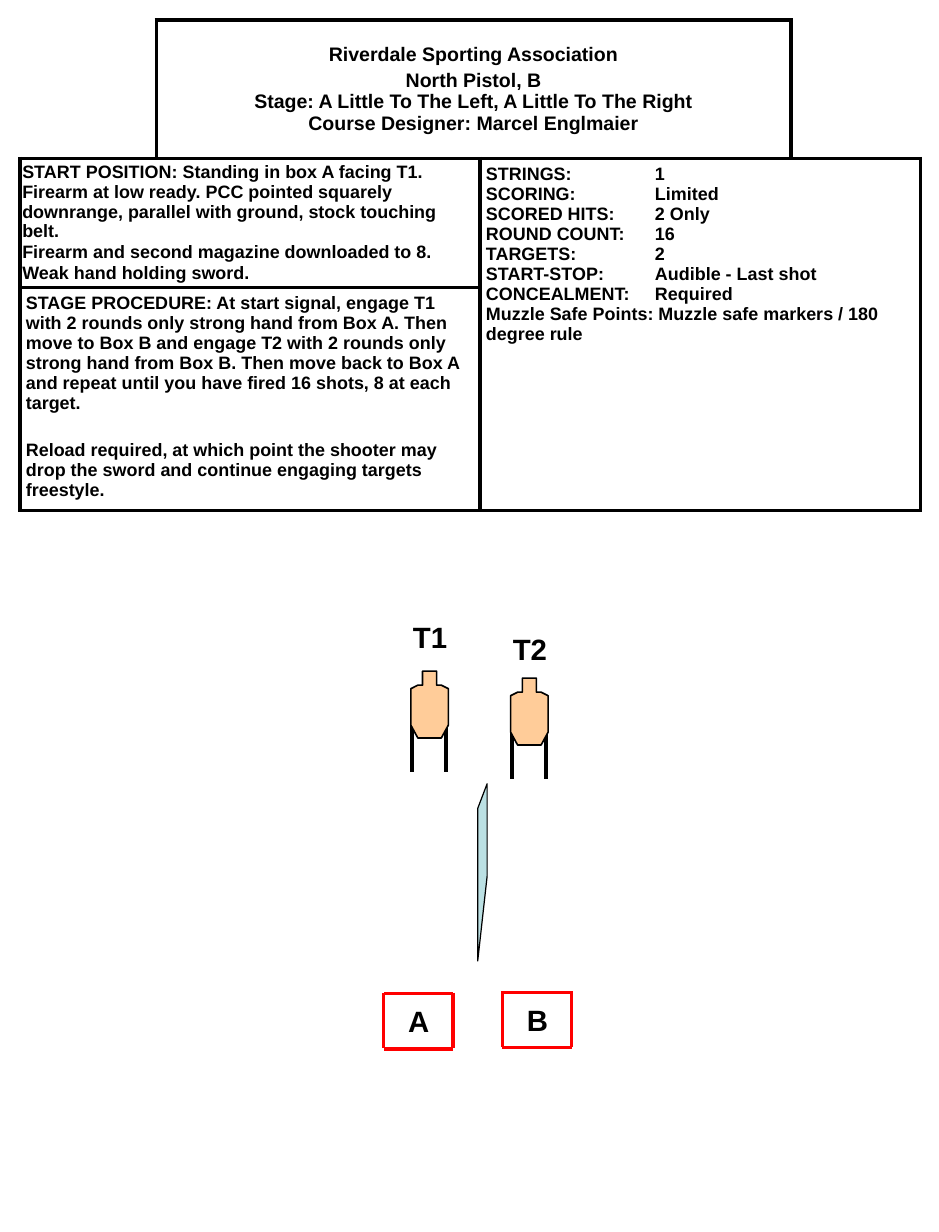
from dataclasses import dataclass

from lxml import etree
from pptx import Presentation
from pptx.dml.color import RGBColor
from pptx.enum.shapes import MSO_CONNECTOR
from pptx.enum.text import MSO_ANCHOR, PP_ALIGN
from pptx.oxml.ns import qn
from pptx.util import Inches, Pt

STRAIGHT = MSO_CONNECTOR.STRAIGHT
CENTER = PP_ALIGN.CENTER
LEFT = PP_ALIGN.LEFT
MIDDLE = MSO_ANCHOR.MIDDLE
TOP = MSO_ANCHOR.TOP

SLIDE_WIDTH, SLIDE_HEIGHT = Inches(8), Inches(10.5)
GRID_COLUMNS = 800
CELL = SLIDE_WIDTH // GRID_COLUMNS


@dataclass(frozen=True)
class Theme:
    font: str = "Arial"
    ink: str = "000000"
    paper: str = "FFFFFF"
    box: str = "FF0000"
    target: str = "FFCC99"
    barrier: str = "BBE0E3"
    heading: float = 12
    body: float = 11
    label: float = 18
    rule: float = 2.25
    box_rule: float = 2
    target_rule: float = 1
    barrier_rule: float = 0.75


THEME = Theme()

HEADING = [
    ("Riverdale Sporting Association", 0),
    ("North Pistol, B\nStage: A Little To The Left, A Little To The Right\n"
     "Course Designer: Marcel Englmaier", 2.4),
]
START_POSITION = [
    ("START POSITION: Standing in box A facing T1. Firearm at low ready. PCC pointed "
     "squarely downrange, parallel with ground, stock touching belt.", 0),
    ("Firearm and second magazine downloaded to 8.", 0.5),
    ("Weak hand holding sword.", 0.5),
]
PROCEDURE = [
    ("STAGE PROCEDURE: At start signal, engage T1 with 2 rounds only strong hand from "
     "Box A. Then move to Box B and engage T2 with 2 rounds only strong hand from Box B. "
     "Then move back to Box A and repeat until you have fired 16 shots, 8 at each target.", 0),
    ("Reload required, at which point the shooter may drop the sword and continue "
     "engaging targets freestyle.", 16.5),
]
RULES = [
    ("STRINGS:\t1", 0),
    ("SCORING:\tLimited", 0),
    ("SCORED HITS:\t2 Only", 0),
    ("ROUND COUNT:\t16", 0),
    ("TARGETS:\t2", 0),
    ("START-STOP:\tAudible - Last shot", 0),
    ("CONCEALMENT:\tRequired", 0),
    ("Muzzle Safe Points: Muzzle safe markers / 180 degree rule", 0),
]
RULE_VALUE_TAB = 144

TARGET_OUTLINE = [(10, 0), (22, 0), (22, 12), (26, 12), (32, 15), (32, 46),
                  (26, 57), (6, 57), (0, 46), (0, 15), (6, 12), (10, 12)]
BARRIER_OUTLINE = [(8, 79), (0, 151), (0, 21), (8, 0)]


def grid(count):
    return CELL * count


def style(paragraph, size):
    paragraph.font.name = THEME.font
    paragraph.font.size = Pt(size)
    paragraph.font.bold = True
    paragraph.font.color.rgb = RGBColor.from_string(THEME.ink)


def add_tab_stop(paragraph, position):
    tabs = etree.SubElement(paragraph._p.get_or_add_pPr(), qn("a:tabLst"))
    etree.SubElement(tabs, qn("a:tab"), pos=str(grid(position)), algn="l")


def write_cell(cell, entries, size, align=LEFT, anchor=TOP, inset=(5, 5)):
    cell.vertical_anchor = anchor
    cell.margin_left = cell.margin_right = grid(inset[0])
    cell.margin_top = cell.margin_bottom = grid(inset[1])
    frame = cell.text_frame
    for index, (wording, gap) in enumerate(entries):
        paragraph = frame.add_paragraph() if index else frame.paragraphs[0]
        paragraph.text = wording
        paragraph.alignment = align
        if gap:
            paragraph.space_before = Pt(gap)
        if "\t" in wording:
            add_tab_stop(paragraph, RULE_VALUE_TAB)
        style(paragraph, size)


def finish_cell(cell, sides):
    properties = cell._tc.get_or_add_tcPr()
    for side in sides:
        border = etree.SubElement(properties, qn("a:ln" + side), w=str(Pt(THEME.rule)))
        fill = etree.SubElement(border, qn("a:solidFill"))
        etree.SubElement(fill, qn("a:srgbClr"), val=THEME.ink)
    cell.fill.solid()
    cell.fill.fore_color.rgb = RGBColor.from_string(THEME.paper)


def add_briefing(shapes):
    widths, heights = (116, 276, 265, 110), (118, 110, 190)
    briefing = shapes.add_table(len(heights), len(widths), grid(17), grid(17),
                                grid(sum(widths)), grid(sum(heights))).table
    briefing.first_row = briefing.horz_banding = False
    for column, width in zip(briefing.columns, widths):
        column.width = grid(width)
    for row, height in zip(briefing.rows, heights):
        row.height = grid(height)

    open_corners = {(0, 0): "RB", (0, 3): "LB"}
    for row in range(len(heights)):
        for column in range(len(widths)):
            finish_cell(briefing.cell(row, column), open_corners.get((row, column), "LRTB"))
    for first, last in (((0, 1), (0, 2)), ((1, 0), (1, 1)), ((1, 2), (2, 3)), ((2, 0), (2, 1))):
        briefing.cell(*first).merge(briefing.cell(*last))

    write_cell(briefing.cell(0, 1), HEADING, THEME.heading, CENTER, MIDDLE)
    write_cell(briefing.cell(1, 0), START_POSITION, THEME.body, inset=(2, 3))
    write_cell(briefing.cell(1, 2), RULES, THEME.body)
    write_cell(briefing.cell(2, 0), PROCEDURE, THEME.body)


def add_label(shapes, wording, left, top, width):
    label = shapes.add_textbox(grid(left), grid(top), grid(width), grid(40))
    label.text_frame.word_wrap = True
    paragraph = label.text_frame.paragraphs[0]
    paragraph.text = wording
    style(paragraph, THEME.label)


def add_line(shapes, start, end, color, weight):
    line = shapes.add_connector(STRAIGHT, *map(grid, start + end))
    line.line.color.rgb = RGBColor.from_string(color)
    line.line.width = Pt(weight)
    etree.SubElement(line._element.spPr, qn("a:effectLst"))


def add_outline(shapes, left, top, points, color, weight):
    corners = [(grid(left + x), grid(top + y)) for x, y in points]
    builder = shapes.build_freeform(*corners[0])
    builder.add_line_segments(corners[1:], close=True)
    outline = builder.convert_to_shape()
    outline.shadow.inherit = False
    outline.fill.solid()
    outline.fill.fore_color.rgb = RGBColor.from_string(color)
    outline.line.color.rgb = RGBColor.from_string(THEME.ink)
    outline.line.width = Pt(weight)


def add_target(shapes, left, top):
    stand = shapes.add_group_shape().shapes
    for leg in (left + 1, left + 30):
        add_line(stand, (leg, top + 42), (leg, top + 86), THEME.ink, THEME.rule)
    add_outline(stand, left, top, TARGET_OUTLINE, THEME.target, THEME.target_rule)


def add_shooting_box(shapes, wording, left, top):
    box = shapes.add_group_shape().shapes
    right = left + 59
    for y in (top, top + 47):
        add_line(box, (right, y), (left, y), THEME.box, THEME.box_rule)
    for x in (right, left):
        add_line(box, (x, top - 1), (x, top + 46), THEME.box, THEME.box_rule)
    add_label(box, wording, left + 11, top + 3, 86)


def main():
    deck = Presentation()
    deck.slide_width, deck.slide_height = SLIDE_WIDTH, SLIDE_HEIGHT
    shapes = deck.slides.add_slide(deck.slide_layouts[6]).shapes

    add_briefing(shapes)
    add_label(shapes, "T1", 342, 523, 58)
    add_label(shapes, "T2", 427, 533, 58)
    add_shooting_box(shapes, "A", 327, 847)
    add_shooting_box(shapes, "B", 428, 846)
    add_target(shapes, 350, 572)
    add_outline(shapes, 407, 668, BARRIER_OUTLINE, THEME.barrier, THEME.barrier_rule)
    add_target(shapes, 435, 578)

    deck.save("out.pptx")


if __name__ == "__main__":
    main()
